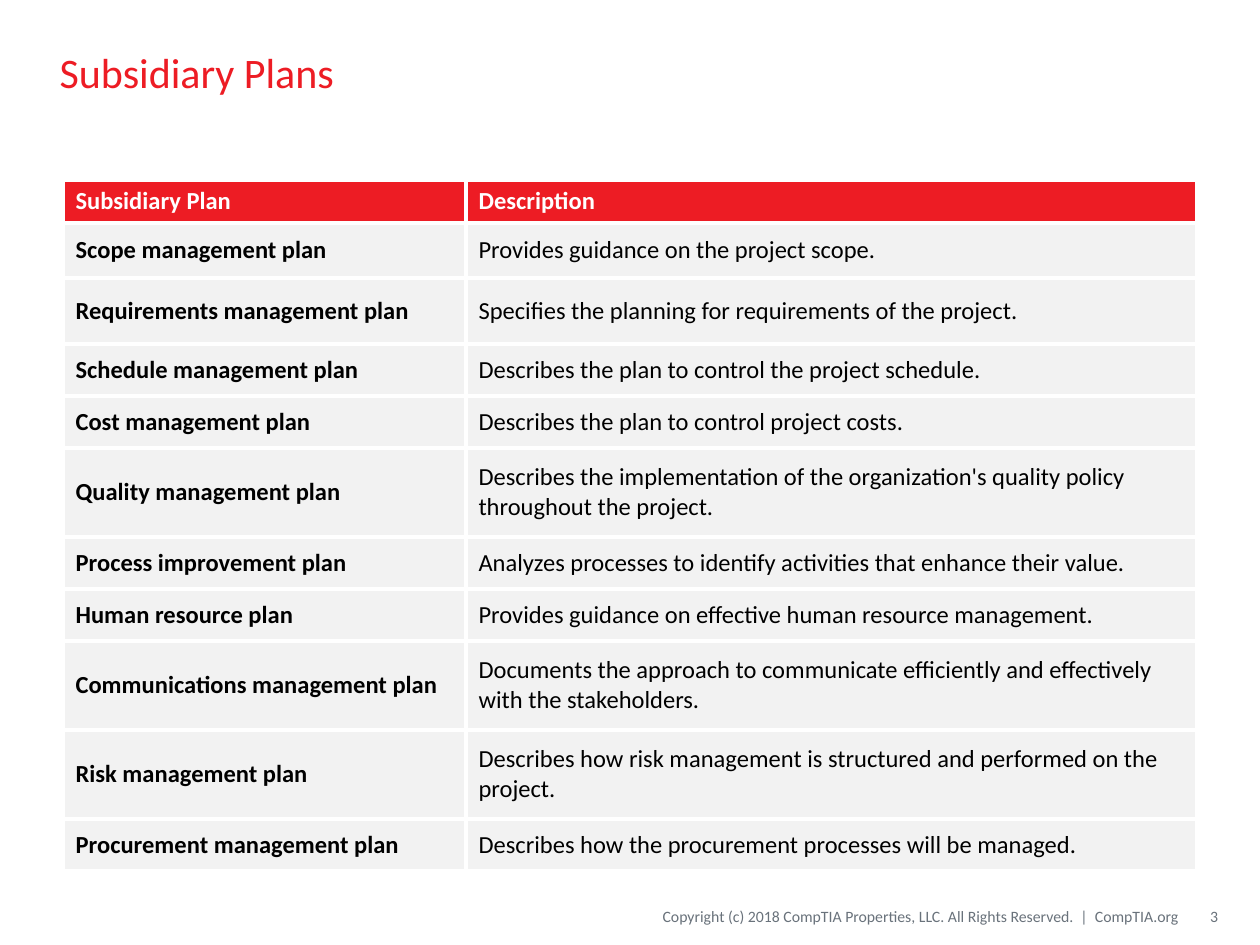
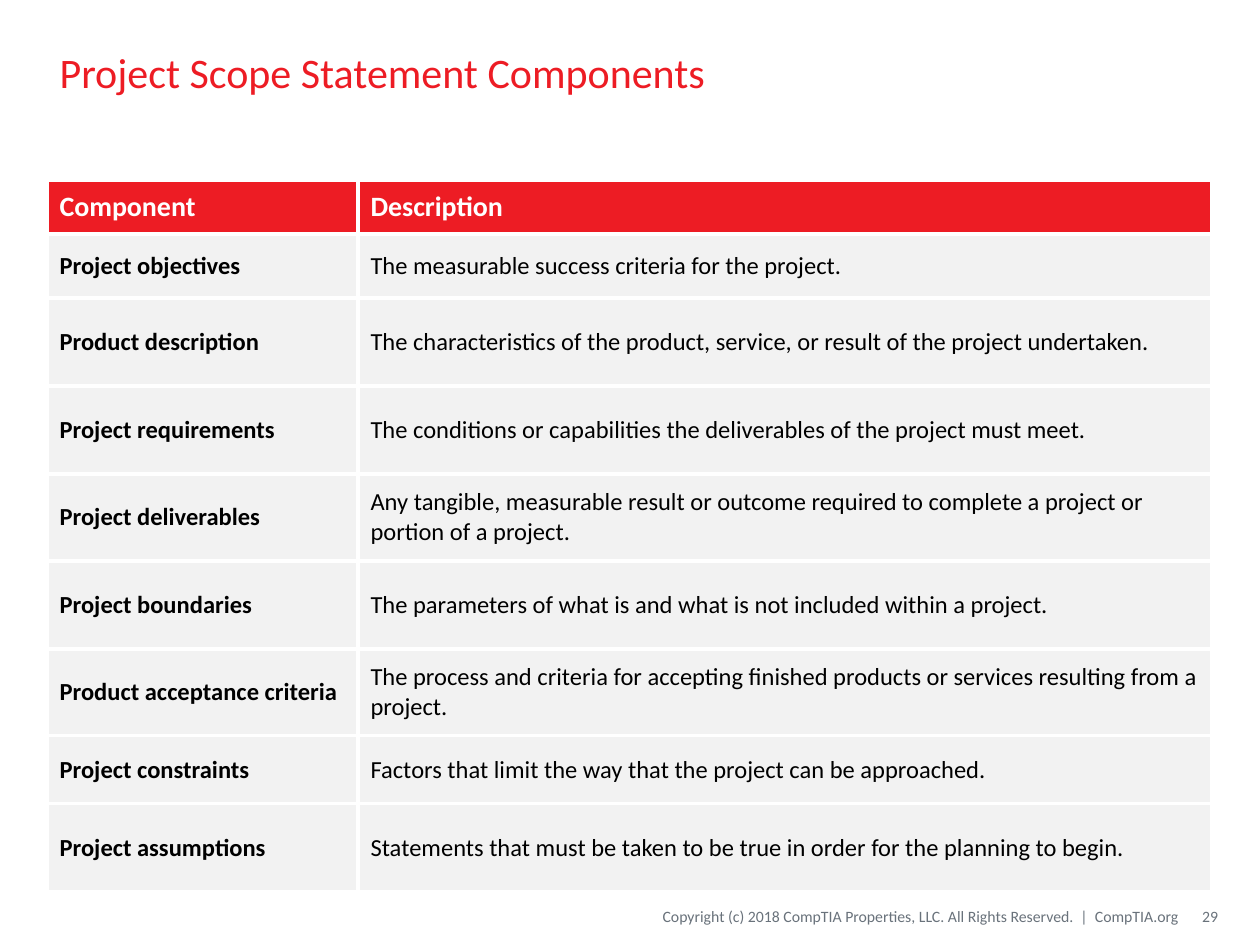
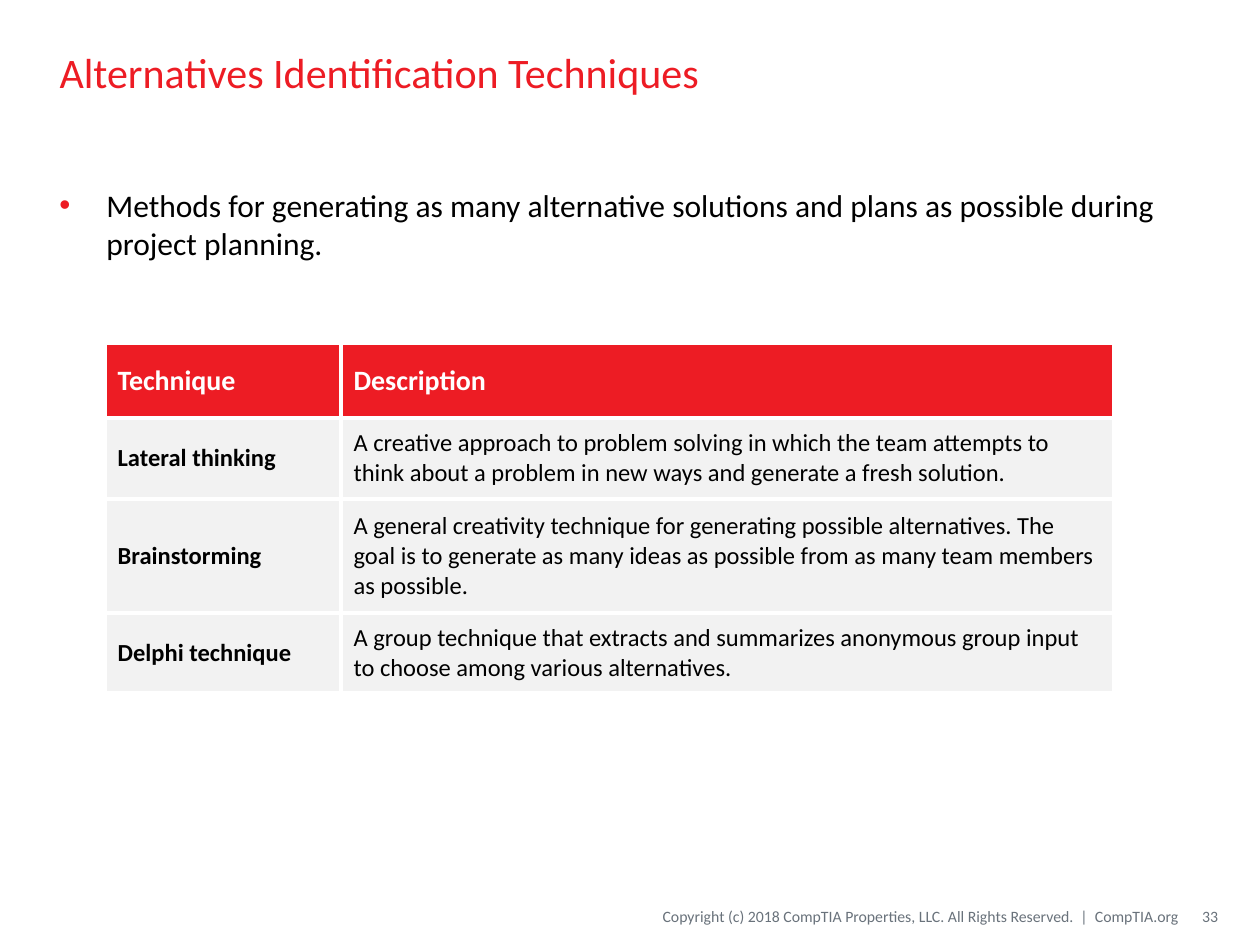
from lxml import etree
from pptx import Presentation
from pptx import util as u
from pptx.dml.color import RGBColor
from pptx.enum import text
from pptx.oxml import ns

EMU_PER_PX = 914400 / 126
FONT = "Calibri"
RED, WHITE, BLACK = "ED1C24", "FFFFFF", "000000"
ROW_GREY, FOOTER_GREY = "F2F2F2", "69727B"
BORDER_PT = 2.25
COPYRIGHT = ("Copyright (c) 2018 CompTIA Properties, LLC. All Rights Reserved."
             "  |  CompTIA.org")

TITLE_BOX = (47, 14, 1165, 116)
BODY_BOX = (47, 180, 1165, 655)
COPYRIGHT_BOX = (489, 897, 689, 38)
NUMBER_BOX = (1182, 897, 36, 38)
BULLET_INDENT = 47

TITLE_FORMAT = {"size": 24, "color": RED}
BODY_FORMAT = {"size": 18, "color": BLACK}
FOOTER_FORMAT = {"size": 9, "color": FOOTER_GREY}
CELL_FORMAT = {"size": 14, "color": BLACK}

SUBSIDIARY_PLANS = [
    ("Subsidiary Plan", "Description"),
    ("Scope management plan", "Provides guidance on the project scope."),
    ("Requirements management plan",
     "Specifies the planning for requirements of the project."),
    ("Schedule management plan",
     "Describes the plan to control the project schedule."),
    ("Cost management plan", "Describes the plan to control project costs."),
    ("Quality management plan",
     "Describes the implementation of the organization's quality policy "
     "throughout the project."),
    ("Process improvement plan",
     "Analyzes processes to identify activities that enhance their value."),
    ("Human resource plan",
     "Provides guidance on effective human resource management."),
    ("Communications management plan",
     "Documents the approach to communicate efficiently and effectively "
     "with the stakeholders."),
    ("Risk management plan",
     "Describes how risk management is structured and performed on the project."),
    ("Procurement management plan",
     "Describes how the procurement processes will be managed."),
]

SCOPE_COMPONENTS = [
    ("Component", "Description"),
    ("Project objectives", "The measurable success criteria for the project."),
    ("Product description",
     "The characteristics of the product, service, or result of the project "
     "undertaken."),
    ("Project requirements",
     "The conditions or capabilities the deliverables of the project must meet."),
    ("Project deliverables",
     "Any tangible, measurable result or outcome required to complete a project "
     "or portion of a project."),
    ("Project boundaries",
     "The parameters of what is and what is not included within a project."),
    ("Product acceptance criteria",
     "The process and criteria for accepting finished products or services "
     "resulting from a project."),
    ("Project constraints",
     "Factors that limit the way that the project can be approached."),
    ("Project assumptions",
     "Statements that must be taken to be true in order for the planning to begin."),
]

TECHNIQUES = [
    ("Technique", "Description"),
    ("Lateral thinking",
     "A creative approach to problem solving in which the team attempts to "
     "think about a problem in new ways and generate a fresh solution."),
    ("Brainstorming",
     "A general creativity technique for generating possible alternatives. "
     "The goal is to generate as many ideas as possible from as many team "
     "members as possible."),
    ("Delphi technique",
     "A group technique that extracts and summarizes anonymous group input "
     "to choose among various alternatives."),
]


def px(length):
    return u.Emu(round(length * EMU_PER_PX))


def rgb(hex_color):
    return RGBColor.from_string(hex_color)


def set_attributes(target, values):
    for name, value in values.items():
        setattr(target, name, value)


def write(paragraph, words, size, color, bold=False):
    run = paragraph.add_run()
    run.text = words
    set_attributes(run.font, {"name": FONT, "size": u.Pt(size), "bold": bold})
    run.font.color.rgb = rgb(color)


def add_text(slide, box, words, style, align=text.PP_ALIGN.LEFT, **frame_format):
    frame = slide.shapes.add_textbox(*map(px, box)).text_frame
    set_attributes(frame, {"word_wrap": True, **frame_format})
    paragraph = frame.paragraphs[0]
    paragraph.alignment = align
    write(paragraph, words, **style)
    return paragraph


def add_bullet(slide, words):
    paragraph = add_text(slide, BODY_BOX, words, BODY_FORMAT)
    properties = paragraph._p.get_or_add_pPr()
    properties.set("marL", str(px(BULLET_INDENT)))
    properties.set("indent", str(-px(BULLET_INDENT)))
    bullet_color = etree.SubElement(properties, ns.qn("a:buClr"))
    etree.SubElement(bullet_color, ns.qn("a:srgbClr"), val=RED)
    etree.SubElement(properties, ns.qn("a:buFont"), typeface="Arial")
    etree.SubElement(properties, ns.qn("a:buChar"), char="•")


def add_title(slide, words):
    title = slide.shapes.title
    set_attributes(title, dict(zip(("left", "top", "width", "height"),
                                   map(px, TITLE_BOX))))
    frame = title.text_frame
    set_attributes(frame, {"word_wrap": True,
                           "auto_size": text.MSO_AUTO_SIZE.NONE,
                           "vertical_anchor": text.MSO_ANCHOR.MIDDLE})
    frame.paragraphs[0].alignment = text.PP_ALIGN.LEFT
    write(frame.paragraphs[0], words, **TITLE_FORMAT)


def add_footer(slide, number):
    for box, words, left_margin in ((COPYRIGHT_BOX, COPYRIGHT, 0),
                                    (NUMBER_BOX, number, 13)):
        add_text(slide, box, words, FOOTER_FORMAT, text.PP_ALIGN.RIGHT,
                 margin_left=px(left_margin), margin_right=0,
                 vertical_anchor=text.MSO_ANCHOR.MIDDLE)


def add_borders(cell):
    properties = cell._tc.get_or_add_tcPr()
    for side in ("lnL", "lnR", "lnT", "lnB"):
        border = etree.SubElement(properties, ns.qn(f"a:{side}"),
                                  w=str(u.Pt(BORDER_PT)))
        fill = etree.SubElement(border, ns.qn("a:solidFill"))
        etree.SubElement(fill, ns.qn("a:srgbClr"), val=WHITE)


def fill_cell(cell, words, fill, style):
    add_borders(cell)
    cell.fill.solid()
    cell.fill.fore_color.rgb = rgb(fill)
    cell.vertical_anchor = text.MSO_ANCHOR.MIDDLE
    write(cell.text_frame.paragraphs[0], words, **style)


def add_description_table(slide, left, top, widths, heights, entries, header_size):
    """Add a table with a red header row and a bold first column."""
    table = slide.shapes.add_table(
        len(heights), len(widths), px(left), px(top),
        px(sum(widths)), px(sum(heights))).table
    table.horz_banding = False
    for column, width in zip(table.columns, widths):
        column.width = px(width)
    for row, height in zip(table.rows, heights):
        row.height = px(height)
    header_format = {"size": header_size, "color": WHITE, "bold": True}
    for row, entry in enumerate(entries):
        for column, words in enumerate(entry):
            if row == 0:
                fill, style = RED, header_format
            else:
                fill, style = ROW_GREY, {**CELL_FORMAT, "bold": column == 0}
            fill_cell(table.cell(row, column), words, fill, style)


def add_slide(deck, title, number):
    slide = deck.slides.add_slide(deck.slide_layouts.get_by_name("Title Only"))
    add_title(slide, title)
    add_footer(slide, number)
    return slide


def main():
    deck = Presentation()
    set_attributes(deck, {"slide_width": px(1260), "slide_height": px(945)})

    plans = add_slide(deck, "Subsidiary Plans", "3")
    add_description_table(plans, 63, 180, (403, 731),
                          (43, 55, 66, 52, 52, 89, 52, 52, 89, 89, 52),
                          SUBSIDIARY_PLANS, header_size=14)

    scope = add_slide(deck, "Project Scope Statement Components", "29")
    add_description_table(scope, 47, 180, (311, 854),
                          (54, 64, 88, 88, 87, 88, 87, 68, 88),
                          SCOPE_COMPONENTS, header_size=16)

    alternatives = add_slide(deck, "Alternatives Identification Techniques", "33")
    add_bullet(alternatives,
               "Methods for generating as many alternative solutions and plans "
               "as possible during project planning.")
    add_description_table(alternatives, 105, 343, (236, 773), (75, 81, 114, 80),
                          TECHNIQUES, header_size=16)

    deck.save("out.pptx")


if __name__ == "__main__":
    main()
